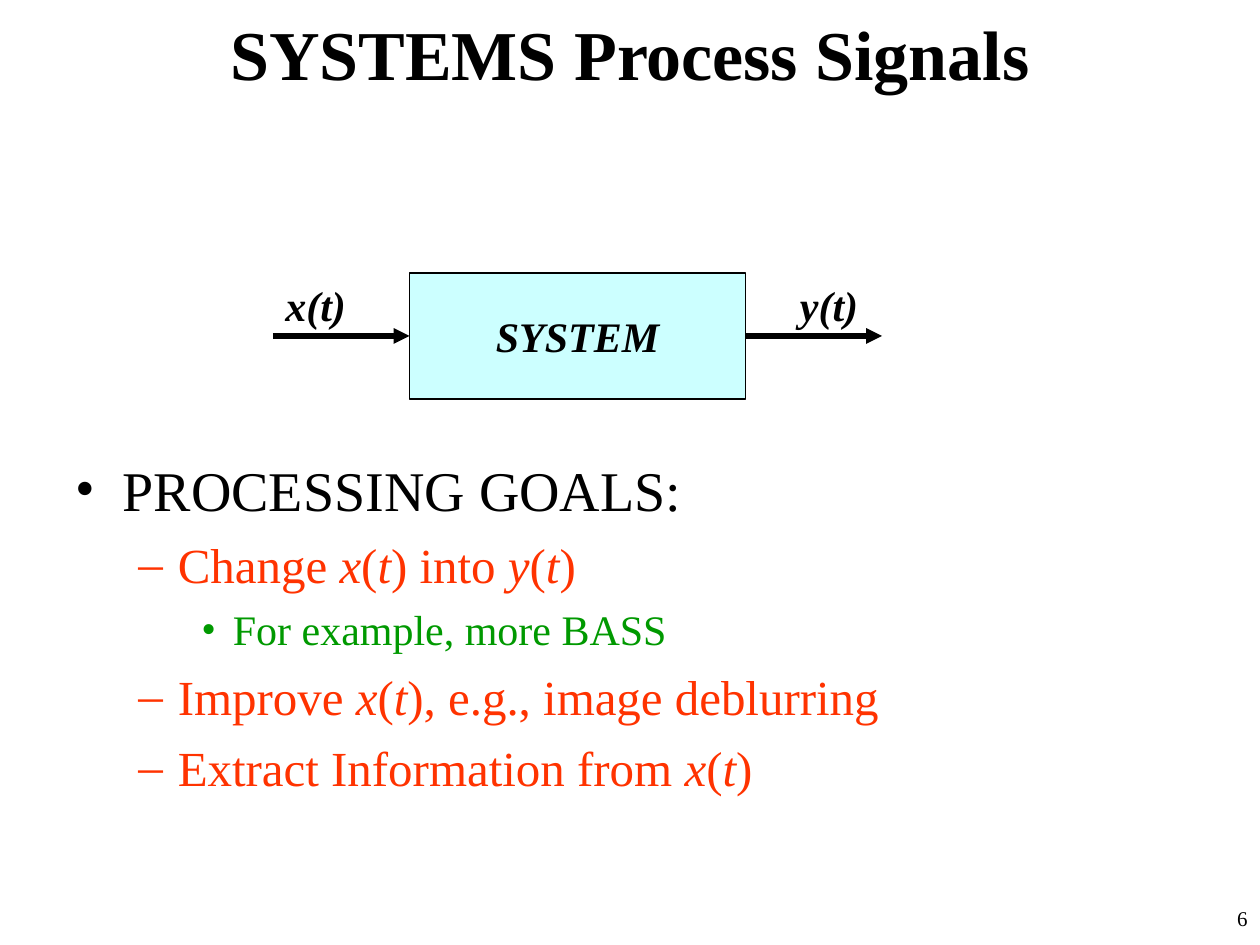
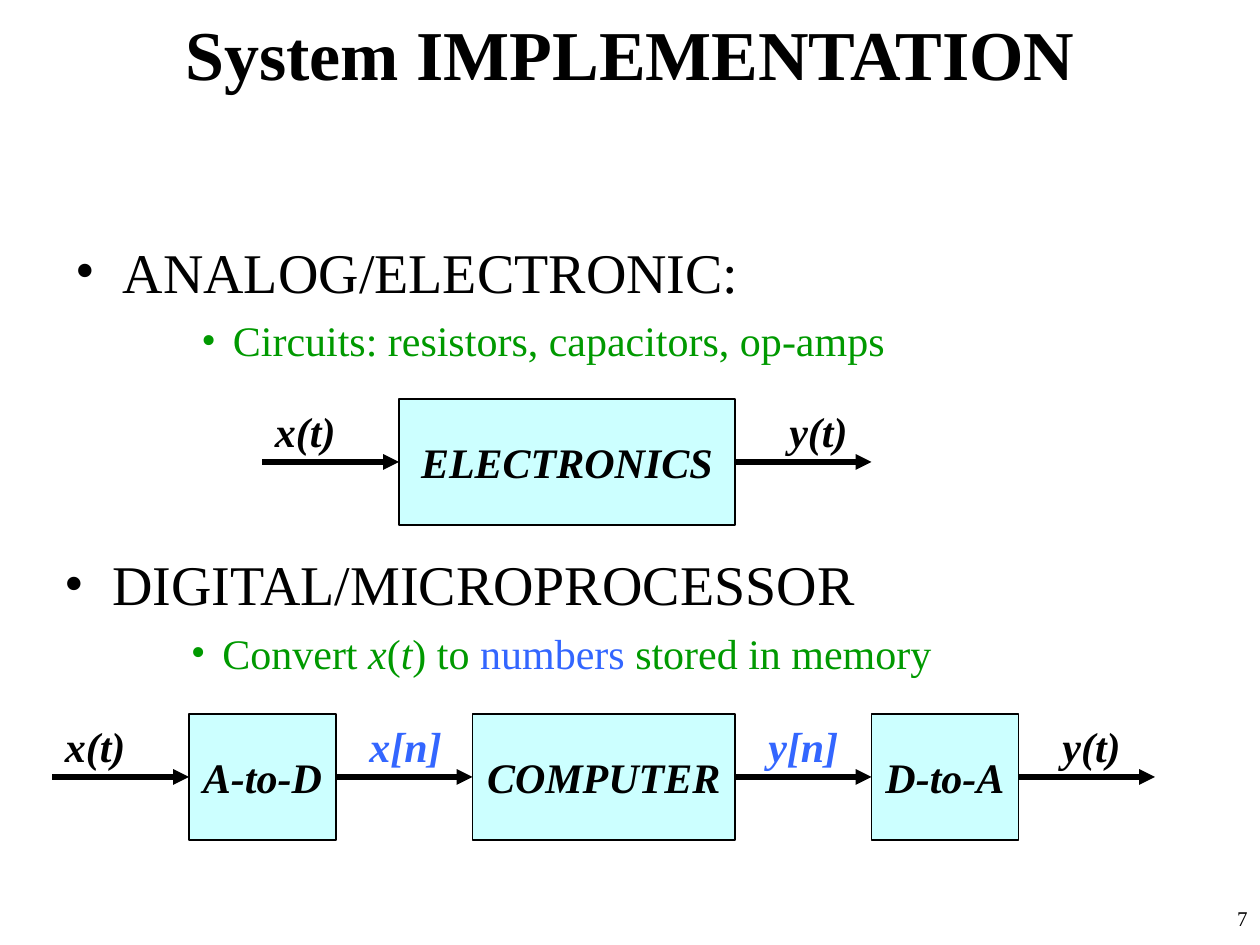
from lxml import etree
from pptx import Presentation
from pptx.dml.color import RGBColor
from pptx.enum.shapes import MSO_CONNECTOR, MSO_SHAPE
from pptx.enum.text import MSO_ANCHOR, MSO_AUTO_SIZE, PP_ALIGN
from pptx.oxml.ns import qn
from pptx.util import Pt

BLACK = RGBColor(0x00, 0x00, 0x00)
WHITE = RGBColor(0xFF, 0xFF, 0xFF)
RED = RGBColor(0xFF, 0x33, 0x00)
GREEN = RGBColor(0x00, 0x99, 0x00)
BLUE = RGBColor(0x33, 0x66, 0xFF)
CYAN = RGBColor(0xCC, 0xFF, 0xFF)

LEFT, CENTER, RIGHT = PP_ALIGN.LEFT, PP_ALIGN.CENTER, PP_ALIGN.RIGHT
TOP, MIDDLE = MSO_ANCHOR.TOP, MSO_ANCHOR.MIDDLE
NO_AUTOFIT, GROW = MSO_AUTO_SIZE.NONE, MSO_AUTO_SIZE.SHAPE_TO_FIT_TEXT
RECTANGLE, STRAIGHT = MSO_SHAPE.RECTANGLE, MSO_CONNECTOR.STRAIGHT

FONT = "Times New Roman"
WIDTH, HEIGHT = 720, 540
BOX_HEIGHT = 72
ARROW_LENGTH = 78

# Per outline level: bullet, size, colour, left margin, hanging, space before
LEVELS = [
    ("•", 32, BLACK, 27, 27, 8),
    ("–", 28, RED, 58.5, 22.5, 7),
    ("•", 24, GREEN, 90, 18, 6),
]

# Signal labels: text, width, colour
X_T, Y_T = ("x(t)", 50, BLACK), ("y(t)", 48.5, BLACK)
X_N, Y_N = ("x[n]", 56.5, BLUE), ("y[n]", 55.5, BLUE)


def write(p, text, size=24, color=BLACK, bold=False, italic=False,
          align=LEFT, before=0):
    """Add text to a paragraph; *stars* mark italics, ~tildes~ mark blue."""
    p.alignment = align
    p.space_before = Pt(before)
    for i, tinted in enumerate(text.split("~")):
        for j, part in enumerate(tinted.split("*")):
            if part:
                r = p.add_run()
                r.text = part
                r.font.name = FONT
                r.font.size = Pt(size)
                r.font.bold = bold
                r.font.italic = italic or j % 2 == 1
                r.font.color.rgb = BLUE if i % 2 else color


def set_bullet(p, char, color, margin, hanging):
    pPr = p._p.get_or_add_pPr()
    pPr.set("marL", str(Pt(margin)))
    pPr.set("indent", str(-Pt(hanging)))
    bu_color = etree.SubElement(pPr, qn("a:buClr"))
    etree.SubElement(bu_color, qn("a:srgbClr"), val=str(color))
    etree.SubElement(pPr, qn("a:buFont"), typeface=FONT)
    etree.SubElement(pPr, qn("a:buChar"), char=char)


class Deck:
    def __init__(self):
        self.prs = Presentation()
        self.prs.slide_width, self.prs.slide_height = Pt(WIDTH), Pt(HEIGHT)
        self.s = None

    def slide(self, title, number):
        self.s = self.prs.slides.add_slide(self.prs.slide_layouts[5])
        self.s.background.fill.solid()
        self.s.background.fill.fore_color.rgb = WHITE
        sp = self.s.shapes.title
        sp.left, sp.top, sp.width, sp.height = Pt(0), Pt(0), Pt(WIDTH), Pt(60.5)
        tf = self.frame(sp, anchor=MIDDLE)
        write(tf.paragraphs[0], title, size=40, bold=True, align=CENTER)
        tf = self.text_box(570, 514, 150, 26)
        write(tf.paragraphs[0], str(number), size=12, align=RIGHT, before=7.5)

    def frame(self, sp, anchor=TOP, wrap=True, fit=NO_AUTOFIT):
        tf = sp.text_frame
        tf.word_wrap = wrap
        tf.auto_size = fit
        tf.vertical_anchor = anchor
        return tf

    def text_box(self, x, y, w, h, **layout):
        sp = self.s.shapes.add_textbox(Pt(x), Pt(y), Pt(w), Pt(h))
        return self.frame(sp, **layout)

    def outline(self, x, y, h, items):
        """Bulleted list of (level, text) items."""
        tf = self.text_box(x, y, 644, h)
        for i, (level, text) in enumerate(items):
            p = tf.add_paragraph() if i else tf.paragraphs[0]
            p.level = level
            char, size, color, margin, hanging, before = LEVELS[level]
            write(p, text, size=size, color=color, before=before)
            set_bullet(p, char, color, margin, hanging)

    def box(self, x, y, w, text):
        sp = self.s.shapes.add_shape(RECTANGLE, Pt(x), Pt(y), Pt(w), Pt(BOX_HEIGHT))
        sp.shadow.inherit = False
        sp.fill.solid()
        sp.fill.fore_color.rgb = CYAN
        sp.line.color.rgb = BLACK
        sp.line.width = Pt(0.75)
        tf = self.frame(sp, anchor=MIDDLE, wrap=False)
        write(tf.paragraphs[0], text, bold=True, italic=True, align=CENTER)

    def arrow(self, x, y):
        line = self.s.shapes.add_connector(
            STRAIGHT, Pt(x), Pt(y), Pt(x + ARROW_LENGTH), Pt(y))
        line.line.color.rgb = BLACK
        line.line.width = Pt(3)
        etree.SubElement(line.line._get_or_add_ln(), qn("a:tailEnd"), type="triangle")
        etree.SubElement(line._element.spPr, qn("a:effectLst"))

    def signal(self, x, y, text, width, color):
        tf = self.text_box(x, y, width, 36, wrap=False, fit=GROW)
        write(tf.paragraphs[0], text, color=color, bold=True, italic=True)

    def chain(self, x, y, signals, boxes, last_shift=24):
        """Draw boxes in a row, with a labelled arrow before, between and after."""
        last = len(signals) - 1
        for i, signal in enumerate(signals):
            self.arrow(x, y + BOX_HEIGHT / 2)
            shift = 0 if i == 0 else last_shift if i == last else 12
            self.signal(x + shift, y, *signal)
            x += ARROW_LENGTH
            if i < last:
                text, width = boxes[i]
                self.box(x, y, width, text)
                x += width


def main():
    deck = Deck()

    deck.slide("SYSTEMS Process Signals", 6)
    deck.outline(36, 256.5, 223, [
        (0, "PROCESSING GOALS:"),
        (1, "Change *x*(*t*) into *y*(*t*)"),
        (2, "For example, more BASS"),
        (1, "Improve *x*(*t*), e.g., image deblurring"),
        (1, "Extract Information from *x*(*t*)"),
    ])
    deck.chain(156, 156, [X_T, Y_T], [("SYSTEM", 192)])

    deck.slide("System IMPLEMENTATION", 7)
    deck.outline(36, 132, 90, [
        (0, "ANALOG/ELECTRONIC:"),
        (2, "Circuits: resistors, capacitors, op-amps"),
    ])
    deck.chain(150, 228, [X_T, Y_T], [("ELECTRONICS", 192)])
    deck.outline(30, 310.5, 97, [
        (0, "DIGITAL/MICROPROCESSOR"),
        (2, "Convert *x*(*t*) to ~numbers~ stored in memory"),
    ])
    deck.chain(30, 408, [X_T, X_N, Y_N, Y_T],
               [("A-to-D", 84), ("COMPUTER", 150), ("D-to-A", 84)],
               last_shift=18)

    deck.prs.save("out.pptx")


if __name__ == "__main__":
    main()
